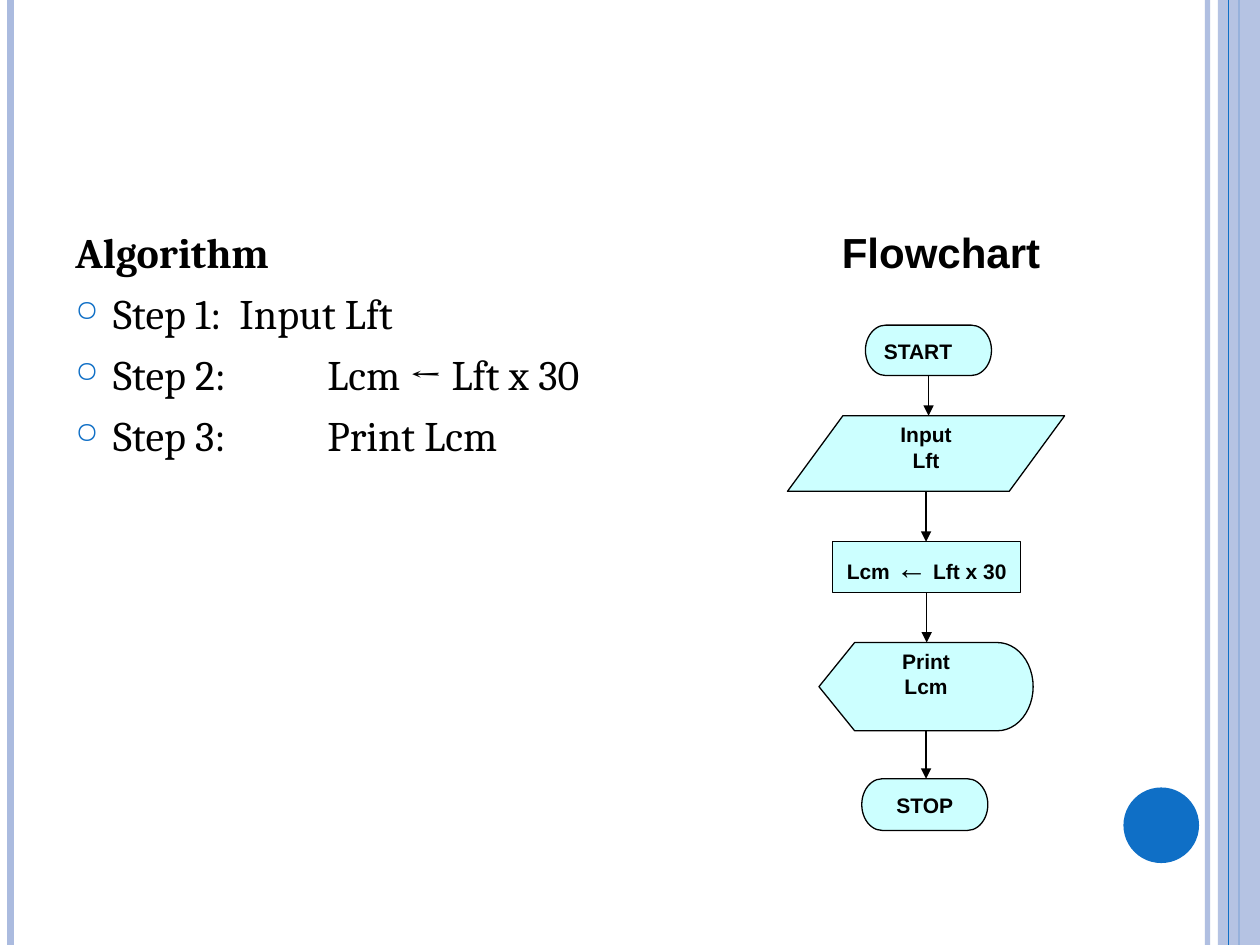
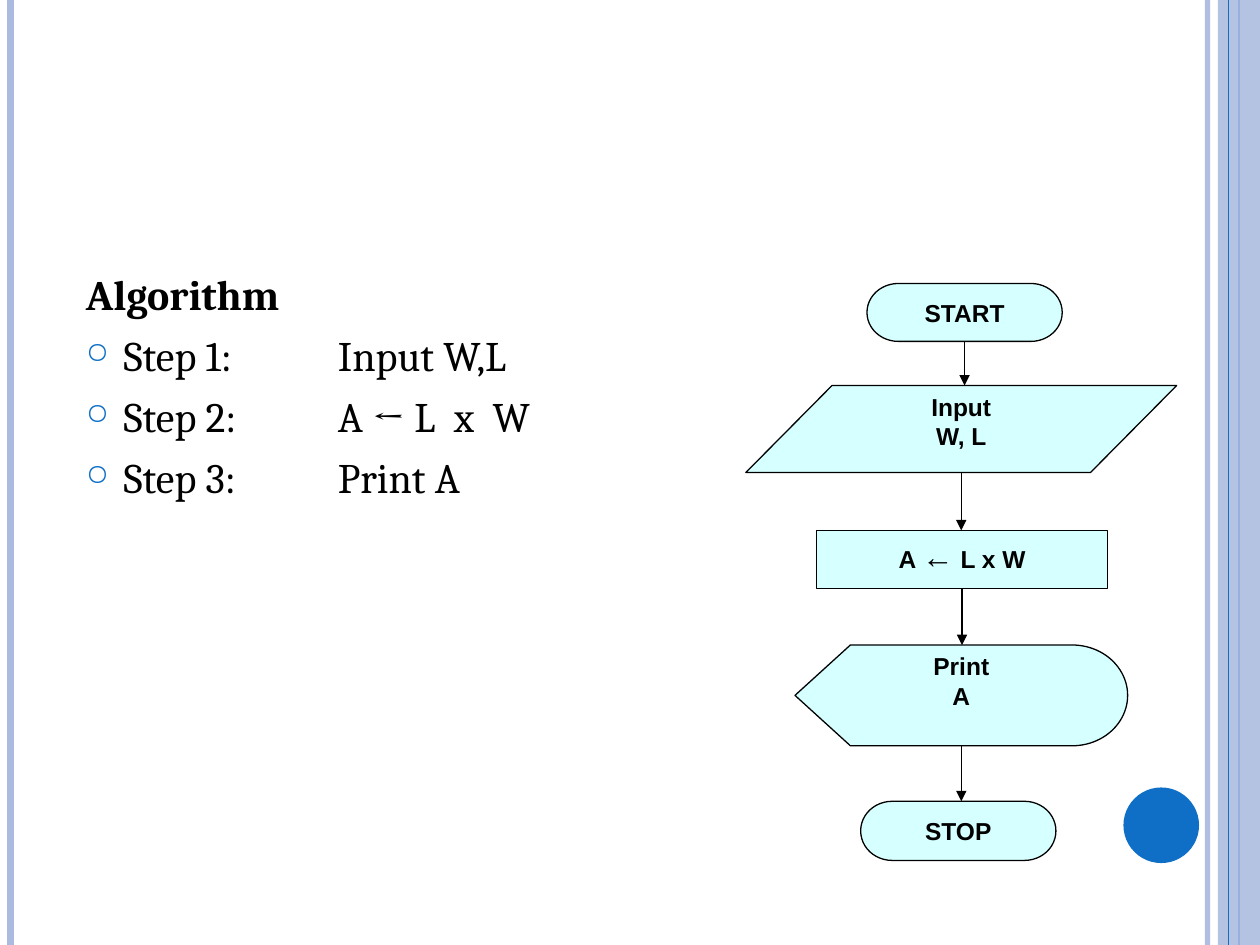
from pptx import Presentation
from pptx.dml.color import RGBColor
from pptx.enum.shapes import MSO_CONNECTOR, MSO_SHAPE
from pptx.enum.text import MSO_ANCHOR, PP_ALIGN
from pptx.oxml import parse_xml
from pptx.oxml.ns import nsdecls, qn
from pptx.util import Pt

# Content: algorithm steps and flowchart nodes, lengths in points
WIDE, HIGH = 720, 540
BLUE, PALE, AQUA, BLACK = "0F6FC6", "ABBBDF", "CCFFFF", "000000"
START = STOP = MSO_SHAPE.FLOWCHART_TERMINATOR
INPUT = MSO_SHAPE.FLOWCHART_DATA
WORK = MSO_SHAPE.FLOWCHART_PROCESS
SHOW = MSO_SHAPE.FLOWCHART_DISPLAY
LEFT, MID = PP_ALIGN.LEFT, PP_ALIGN.CENTER

PAGES = [
    {
        "body": (36, 126, 588, 384),
        "steps": ["Step 1:  Input Lft", "Step 2: \tLcm ← Lft x 30", "Step 3: \tPrint Lcm"],
        "head": ("Flowchart", (474, 126, 174, 36)),
        "size": 12, "alpha": 100, "first": LEFT,
        "nodes": [
            (START, (494.6, 185.8, 72, 28.8), ["START"]),
            (INPUT, (450, 237.6, 158.4, 43.2), ["Input", "Lft"]),
            (WORK, (475.9, 309.6, 107.3, 28.8), ["Lcm ← Lft x 30"]),
            (SHOW, (468, 367.2, 122.4, 50.4), ["Print", "Lcm"]),
            (STOP, (492.5, 445, 72, 29.5), ["STOP"]),
        ],
    },
    {
        "body": (42, 150, 648, 306),
        "steps": ["Step 1: \tInput W,L", "Step 2: \tA ← L  x  W", "Step 3: \tPrint A"],
        "head": None,
        "size": 14, "alpha": 80, "first": MID,
        "nodes": [
            (START, (495.4, 162, 111.6, 33.1), ["START"]),
            (INPUT, (426.2, 220.3, 246.2, 49.7), ["Input", "W, L"]),
            (WORK, (466.6, 303.1, 166.3, 33.1), ["A ← L x W"]),
            (SHOW, (454.3, 368.6, 190.1, 57.6), ["Print", "A"]),
            (STOP, (491.8, 457.9, 111.6, 33.8), ["STOP"]),
        ],
    },
]


def tint(code):
    return RGBColor.from_string(code)


def fade(shape, alpha):
    if alpha < 100:
        for clr in shape.element.spPr.iter(qn("a:srgbClr")):
            clr.append(parse_xml(f'<a:alpha {nsdecls("a")} val="{alpha * 1000}"/>'))


def style(run, size, font, bold):
    run.font.size, run.font.name, run.font.bold = Pt(size), font, bold
    run.font.color.rgb = tint(BLACK)


def draw(shapes, kind, box, fill, alpha=100):
    shape = shapes.add_shape(kind, *map(Pt, box))
    shape.shadow.inherit = False
    shape.fill.solid()
    shape.fill.fore_color.rgb = tint(fill)
    fade(shape, alpha)
    shape.line.fill.background()
    return shape


def rule(shapes, x, top, end, color, width, alpha=100, arrow=False):
    line = shapes.add_connector(MSO_CONNECTOR.STRAIGHT, Pt(x), Pt(top), Pt(x), Pt(end))
    line.line.color.rgb = tint(color)
    line.line.width = Pt(width)
    fade(line, alpha)
    if arrow:
        line.line._get_or_add_ln().append(
            parse_xml(f'<a:tailEnd {nsdecls("a")} type="triangle"/>'))
    line.element.spPr.append(parse_xml(f'<a:effectLst {nsdecls("a")}/>'))


def label(slide, box):
    frame = slide.shapes.add_textbox(*map(Pt, box)).text_frame
    frame.word_wrap = True
    return frame


# Shared side bands and disc
def frame_page(shapes):
    rule(shapes, 690, 0, HIGH, PALE, 3, 93)
    rule(shapes, 6, 0, HIGH, PALE, 4.5)
    rule(shapes, 708, 0, HIGH, BLUE, 1.5)
    draw(shapes, MSO_SHAPE.RECTANGLE, (696, 0, 24, HIGH), PALE, 87)
    rule(shapes, 702, 0, HIGH, BLUE, 0.75)
    draw(shapes, MSO_SHAPE.OVAL, (642, 450, 43.2, 43.2), BLUE)


# Algorithm text: bold heading, then bulleted steps with one tab stop
def list_steps(slide, box, steps):
    frame = label(slide, box)
    frame.text = "\n".join(["Algorithm"] + steps)
    for i, para in enumerate(frame.paragraphs):
        para.space_before = Pt(6)
        style(para.runs[0], 24, "Cambria", i == 0)
        props = para._p.get_or_add_pPr()
        props.set("marL", str(Pt(21.6)))
        props.set("indent", str(-Pt(21.6)))
        if i == 0:
            continue
        for part in (f'buClr {nsdecls("a")}><a:srgbClr val="{BLUE}"/></a:buClr',
                     f'buSzPct {nsdecls("a")} val="70000"/',
                     f'buChar {nsdecls("a")} char="○"/',
                     f'tabLst {nsdecls("a")}><a:tab pos="{Pt(144)}" algn="l"/></a:tabLst'):
            props.append(parse_xml(f"<a:{part}>"))


# One flowchart node; the assignment arrow is larger and not bold
def add_node(shapes, node, size, alpha, align):
    kind, box, lines = node
    shape = draw(shapes, kind, box, AQUA, alpha)
    shape.line.color.rgb = tint(BLACK)
    shape.line.width = Pt(0.75)
    frame = shape.text_frame
    frame.word_wrap = True
    frame.vertical_anchor = MSO_ANCHOR.TOP
    frame.text = "\n".join(lines)
    for para in frame.paragraphs:
        para.alignment = align
        left, mark, right = para.text.partition("←")
        para.text = left
        for text in filter(None, (mark, right)):
            para.add_run().text = text
        for run in para.runs:
            sign = run.text == "←"
            style(run, 18 if sign else size, "Arial", not sign)


# Nodes, joined from the centre of each one down to the next
def draw_flow(slide, page):
    shapes = slide.shapes.add_group_shape().shapes
    nodes = page["nodes"]
    for i, node in enumerate(nodes):
        add_node(shapes, node, page["size"], page["alpha"], MID if i else page["first"])
    for upper, lower in zip(nodes, nodes[1:]):
        x, y, w, h = upper[1]
        rule(shapes, x + w / 2, y + h, lower[1][1], BLACK, 0.75, arrow=True)


deck = Presentation()
deck.slide_width, deck.slide_height = Pt(WIDE), Pt(HIGH)
for page in PAGES:
    slide = deck.slides.add_slide(deck.slide_layouts[6])
    frame_page(slide.shapes)
    list_steps(slide, page["body"], page["steps"])
    draw_flow(slide, page)
    if page["head"]:
        text, box = page["head"]
        frame = label(slide, box)
        frame.text = text
        frame.paragraphs[0].space_before = Pt(2)
        style(frame.paragraphs[0].runs[0], 24, "Arial", True)
deck.save("out.pptx")
